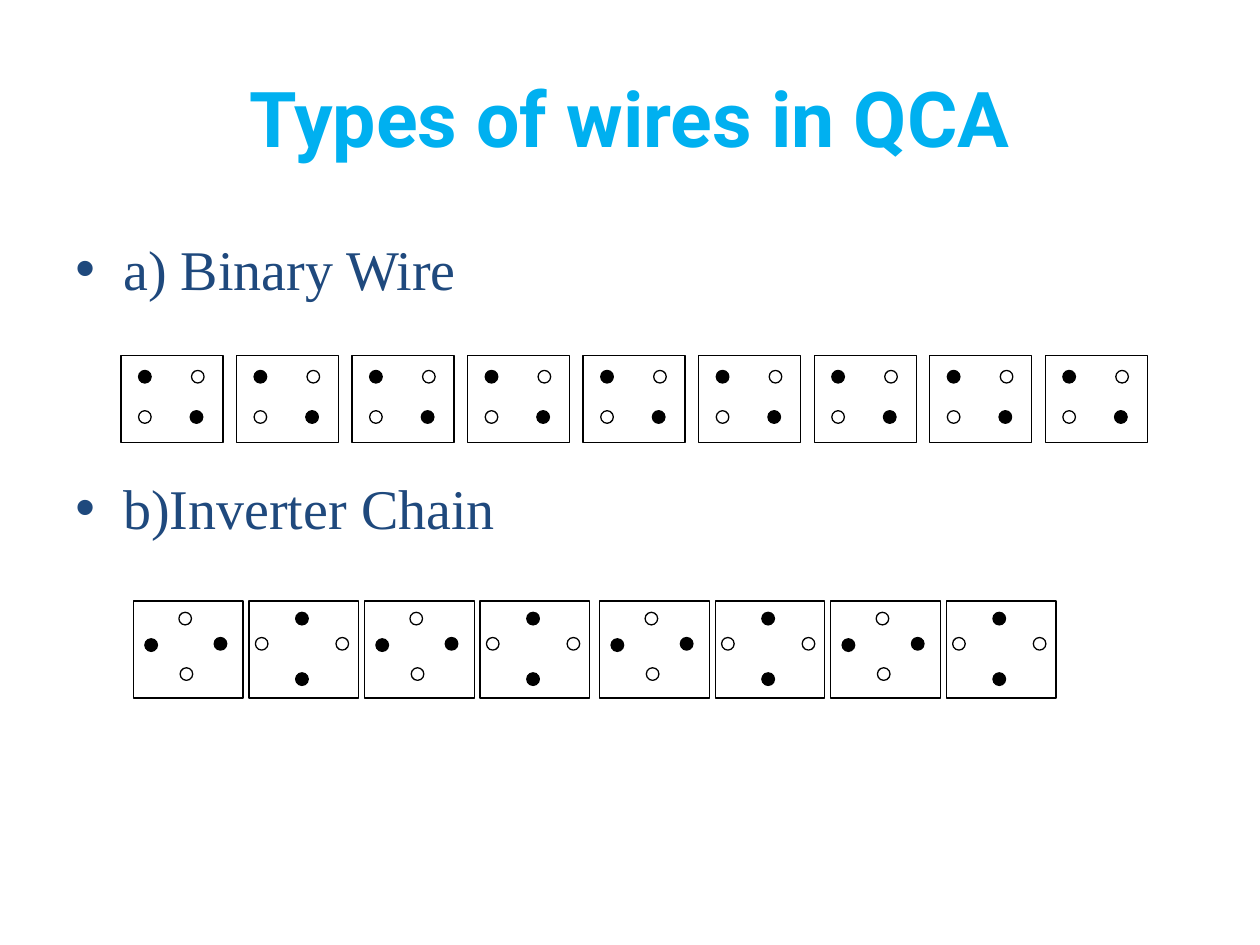
from dataclasses import dataclass

from lxml import etree
from pptx import Presentation
from pptx.dml.color import RGBColor
from pptx.enum.shapes import MSO_SHAPE
from pptx.enum.text import MSO_ANCHOR, MSO_AUTO_SIZE, PP_ALIGN
from pptx.oxml.ns import qn
from pptx.util import Inches, Pt

RECTANGLE = MSO_SHAPE.RECTANGLE
CONNECTOR_DOT = MSO_SHAPE.FLOWCHART_CONNECTOR
ELLIPSE = MSO_SHAPE.OVAL
MIDDLE, TOP = MSO_ANCHOR.MIDDLE, MSO_ANCHOR.TOP
NO_AUTOFIT = MSO_AUTO_SIZE.NONE
CENTER, LEFT = PP_ALIGN.CENTER, PP_ALIGN.LEFT


@dataclass(frozen=True)
class Theme:
    title: RGBColor = RGBColor(0x00, 0xB0, 0xF0)
    body: RGBColor = RGBColor(0x1F, 0x49, 0x7D)
    black: RGBColor = RGBColor(0x00, 0x00, 0x00)
    white: RGBColor = RGBColor(0xFF, 0xFF, 0xFF)
    title_font: str = "Roboto"
    body_font: str = "Times New Roman"
    title_size: Pt = Pt(44)
    body_size: Pt = Pt(32)
    line_width: Pt = Pt(0.75)


THEME = Theme()
DOT_SIZE = 0.1
PITCH = 0.917  # distance between the left edges of neighbouring cells

# Dots of each cell type: x and y from the cell corner, filled or not, preset
BINARY_DOTS = [
    (0.14, 0.12, True, CONNECTOR_DOT), (0.56, 0.12, False, CONNECTOR_DOT),
    (0.14, 0.44, False, CONNECTOR_DOT), (0.55, 0.44, True, CONNECTOR_DOT),
]
SIDES_FILLED = [
    (0.36, 0.09, False, ELLIPSE), (0.37, 0.53, False, CONNECTOR_DOT),
    (0.09, 0.3, True, CONNECTOR_DOT), (0.64, 0.29, True, CONNECTOR_DOT),
]
ENDS_FILLED = [
    (0.37, 0.09, True, CONNECTOR_DOT), (0.37, 0.57, True, CONNECTOR_DOT),
    (0.05, 0.29, False, ELLIPSE), (0.69, 0.29, False, ELLIPSE),
]


def apply_format(target, values):
    for name, value in values.items():
        setattr(target, name, value)


def add_title(page, text):
    title = page.shapes.title
    apply_format(title, {"left": Inches(0.5), "top": Inches(0.3),
                         "width": Inches(9), "height": Inches(1.25)})
    title.text_frame.text = text
    apply_format(title.text_frame, {"vertical_anchor": MIDDLE,
                                    "auto_size": NO_AUTOFIT})
    para = title.text_frame.paragraphs[0]
    para.alignment = CENTER
    apply_format(para.font, {"name": THEME.title_font, "bold": True,
                             "size": THEME.title_size})
    para.font.color.rgb = THEME.title


def add_bullets(page, texts, gap):
    box = page.shapes.add_textbox(Inches(0.5), Inches(1.75), Inches(9), Inches(4.95))
    apply_format(box.text_frame, {"word_wrap": True, "auto_size": NO_AUTOFIT,
                                  "vertical_anchor": TOP,
                                  "margin_top": Inches(0.11)})
    for index, text in enumerate(texts):
        para = box.text_frame.paragraphs[0] if index == 0 else box.text_frame.add_paragraph()
        para.text = text
        para.alignment = LEFT
        if index:
            para.space_before = gap
        properties = para._p.get_or_add_pPr()
        properties.set("marL", str(Inches(0.38)))
        properties.set("indent", str(Inches(-0.38)))
        etree.SubElement(properties, qn("a:buFont"), typeface="Arial")
        etree.SubElement(properties, qn("a:buChar"), char="•")
        apply_format(para.font, {"name": THEME.body_font, "size": THEME.body_size})
        para.font.color.rgb = THEME.body


def add_outlined(group, preset, left, top, width, height, color):
    shape = group.shapes.add_shape(
        preset, Inches(left), Inches(top), Inches(width), Inches(height))
    shape.shadow.inherit = False
    shape.fill.solid()
    shape.fill.fore_color.rgb = color
    shape.line.color.rgb = THEME.black
    shape.line.width = THEME.line_width


def add_cell(group, left, top, size, dots):
    add_outlined(group, RECTANGLE, left, top, *size, THEME.white)
    for x, y, filled, preset in dots:
        add_outlined(group, preset, left + x, top + y, DOT_SIZE, DOT_SIZE,
                     THEME.black if filled else THEME.white)


def add_wire(group, left, top, size, count, patterns):
    for index in range(count):
        add_cell(group, left + index * PITCH, top, size,
                 patterns[index % len(patterns)])


def main():
    deck = Presentation()
    deck.slide_width, deck.slide_height = Inches(10), Inches(7.5)
    page = deck.slides.add_slide(deck.slide_layouts[5])

    # Heading and labels
    add_title(page, "Types of wires in QCA")
    add_bullets(page, ["a) Binary Wire", "b)Inverter Chain"], Pt(98))

    # Binary wire: nine equal cells
    binary_wire = page.shapes.add_group_shape()
    add_wire(binary_wire, 0.96, 2.82, (0.81, 0.69), 9, [BINARY_DOTS])

    # Inverter chain: two runs of four alternating cells
    inverter_chain = page.shapes.add_group_shape()
    for left in (1.06, 4.76):
        add_wire(inverter_chain, left, 4.77, (0.87, 0.77), 4,
                 [SIDES_FILLED, ENDS_FILLED])

    deck.save("out.pptx")


if __name__ == "__main__":
    main()
